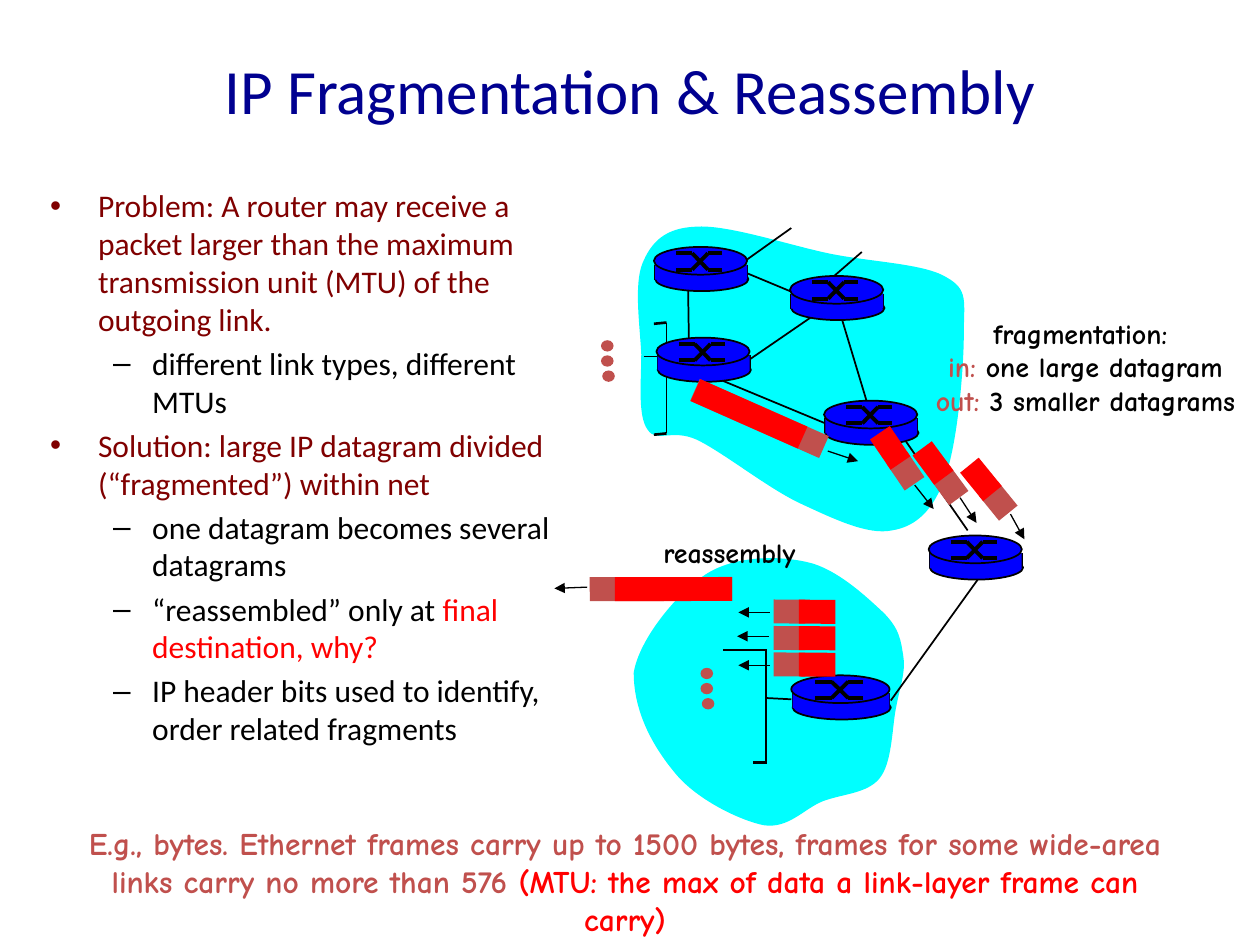
"""Build the IP fragmentation and reassembly slide."""
from dataclasses import dataclass
from math import cos, radians, sin
from typing import Union

from lxml.etree import SubElement
from pptx import Presentation
from pptx.dml.color import RGBColor
from pptx.enum.shapes import MSO_CONNECTOR, MSO_SHAPE
from pptx.enum.text import MSO_ANCHOR, MSO_AUTO_SIZE, PP_ALIGN
from pptx.oxml.ns import qn
from pptx.shapes.autoshape import Shape
from pptx.shapes.shapetree import GroupShapes, SlideShapes
from pptx.text.text import TextFrame
from pptx.util import Pt

PX = 9144
Shapes = Union[SlideShapes, GroupShapes]
Point = tuple[int, int]


@dataclass(frozen=True)
class Theme:
    """Colours, fonts and sizes of the slide."""
    black: str = "000000"
    navy: str = "000090"
    maroon: str = "800000"
    red: str = "FF0000"
    brick: str = "C0504D"
    blue: str = "0000FF"
    cyan: str = "00FFFF"
    sans: str = "Calibri"
    comic: str = "Comic Neue"
    title: float = 36
    body: float = 18
    label: float = 16
    thin: float = 0.75
    link: float = 1
    bracket: float = 1.5
    symbol: float = 2.25


THEME = Theme()


@dataclass(frozen=True)
class Span:
    text: str
    color: str = THEME.black


@dataclass(frozen=True)
class Bullet:
    level: int
    spans: list[Span]


@dataclass(frozen=True)
class Line:
    x1: float
    y1: float
    x2: float
    y2: float
    weight: float = THEME.link
    arrow: bool = False


@dataclass(frozen=True)
class Router:
    left: int
    top: int
    width: int = 74


@dataclass(frozen=True)
class Packet:
    """A payload with the header whose centre lies `gap` px further along the angle."""
    left: int
    top: int
    angle: float
    payload: int = 29
    header: int = 25
    gap: int = 22


BULLETS = [
    Bullet(0, [Span("Problem: A router may receive a packet larger than the maximum "
                    "transmission unit (MTU) of the outgoing link.", THEME.maroon)]),
    Bullet(1, [Span("different link types, different MTUs")]),
    Bullet(0, [Span("Solution: large IP datagram divided (“fragmented”) within net", THEME.maroon)]),
    Bullet(1, [Span("one datagram becomes several datagrams")]),
    Bullet(1, [Span("“reassembled” only at "), Span("final destination, why?", THEME.red)]),
    Bullet(1, [Span("IP header bits used to identify, order related fragments")]),
]
BULLET_STYLES = [("•", 38, -38), ("–", 81, -31)]

SENDER_CLOUD = [
    (552, 180), (528, 181), (517, 192), (510, 209), (503, 226), (508, 259), (509, 281),
    (509, 303), (506, 330), (514, 341), (521, 352), (533, 340), (553, 349),
    (574, 359), (610, 388), (636, 400), (662, 412), (689, 425), (708, 421),
    (727, 418), (741, 405), (750, 379), (760, 353), (765, 292), (765, 266),
    (765, 239), (769, 230), (751, 220), (733, 209), (690, 208), (657, 201),
    (624, 194), (577, 178), (552, 180)]
RECEIVER_CLOUD = [
    (503, 534), (507, 508), (537, 471), (560, 456), (583, 441), (617, 441), (640, 446),
    (664, 451), (688, 474), (701, 486), (714, 499), (715, 508), (717, 521),
    (719, 534), (714, 546), (711, 563), (708, 579), (708, 606), (698, 618),
    (688, 630), (669, 630), (653, 636), (638, 642), (626, 658), (606, 655),
    (587, 651), (554, 635), (537, 615), (520, 595), (503, 567), (503, 534)]

SENDER_LAN = [Line(519, 257, 529, 256, THEME.bracket), Line(519, 345, 529, 344, THEME.bracket),
              Line(529, 256, 529, 344)]
LINKS = [Line(511, 283, 525, 283), Line(574, 209, 646, 239), Line(666, 246, 688, 319),
         Line(546, 221, 547, 285), Line(549, 292, 655, 336), Line(768, 421, 716, 346),
         Line(658, 242, 575, 299), Line(628, 181, 576, 218), Line(684, 200, 654, 226)]
ROUTERS = [Router(519, 196), Router(521, 268), Router(627, 219), Router(654, 318),
           Router(628, 536, 78), Router(737, 425)]
RECEIVER_LAN = [Line(574, 516, 609, 516, THEME.bracket), Line(598, 605, 609, 605, THEME.bracket),
                Line(608, 516, 608, 605), Line(608, 554, 628, 555), Line(776, 460, 707, 556)]
PACKETS = [Packet(548, 319, 23.9, 93, 112, 9), Packet(692, 346, 55.8), Packet(726, 358, 53.6),
           Packet(764, 371, 50.9), *(Packet(634, top, 180.4) for top in (476, 497, 518)),
           Packet(488, 458, 179.9, 93, 113, 10)]
ARROWS = [Line(*ends, THEME.thin, True) for ends in (
    (657, 358, 681, 366), (726, 385, 741, 404), (762, 395, 775, 415), (802, 408, 813, 428),
    (611, 486, 586, 486), (610, 505, 585, 505), (611, 528, 586, 528), (466, 466, 440, 467))]


def px(length: float) -> int:
    """Turn px into EMU."""
    return round(length * PX)


def rgb(color: str) -> RGBColor:
    """Read a colour."""
    return RGBColor.from_string(color)


def draw_line(shapes: Shapes, line: Line) -> None:
    """Draw a straight black line, with an arrowhead if asked."""
    connector = shapes.add_connector(MSO_CONNECTOR.STRAIGHT, px(line.x1), px(line.y1),
                                     px(line.x2), px(line.y2))
    connector.line.color.rgb = rgb(THEME.black)
    connector.line.width = Pt(line.weight)
    properties = connector._element.spPr
    if line.arrow:
        SubElement(properties.find(qn("a:ln")), qn("a:tailEnd"), type="triangle")
    SubElement(properties, qn("a:effectLst"))


def paint(shape: Shape, color: str, outlined: bool = False) -> None:
    """Fill a shape flat, with a thin black outline if asked."""
    shape.shadow.inherit = False
    shape.fill.solid()
    shape.fill.fore_color.rgb = rgb(color)
    if outlined:
        shape.line.color.rgb = rgb(THEME.black)
        shape.line.width = Pt(THEME.link)
    else:
        shape.line.fill.background()


def draw_preset(shapes: Shapes, kind: MSO_SHAPE, box: tuple[float, float, float, float],
                color: str, outlined: bool = False, angle: float = 0) -> None:
    """Draw a filled preset shape."""
    shape = shapes.add_shape(kind, *map(px, box))
    shape.rotation = angle
    paint(shape, color, outlined)


def draw_cloud(shapes: Shapes, points: list[Point]) -> None:
    """Draw a closed outline of cubic curves, three points to a curve."""
    builder = shapes.build_freeform(*points[0], scale=PX)
    builder.add_line_segments(points[1:], close=True)
    cloud = builder.convert_to_shape()
    paint(cloud, THEME.cyan)
    segments = list(cloud._element.iter(qn("a:lnTo")))
    for start in range(0, len(segments), 3):
        outline = segments[start].getparent()
        curve = SubElement(outline, qn("a:cubicBezTo"))
        segments[start].addprevious(curve)
        for segment in segments[start:start + 3]:
            curve.append(segment[0])
            outline.remove(segment)


def draw_dots(shapes: Shapes, left: int, top: int) -> None:
    """Draw three dots in a column."""
    for step, shift in enumerate((0, 0, 1)):
        draw_preset(shapes, MSO_SHAPE.OVAL, (left + shift, top + 12 * step, 10, 9), THEME.brick)


def draw_router(slide_shapes: SlideShapes, router: Router) -> None:
    """Draw a router drum with its crossing symbol."""
    shapes = slide_shapes.add_group_shape().shapes
    x, y, width = router.left, router.top, router.width
    draw_preset(shapes, MSO_SHAPE.OVAL, (x + 1, y + 16, width, 19), THEME.blue, True)
    for side in (x + 1, x + width):
        draw_line(shapes, Line(side, y + 14, side, y + 26))
    draw_preset(shapes, MSO_SHAPE.RECTANGLE, (x + 1, y + 14, width - 1, 12), THEME.blue)
    draw_preset(shapes, MSO_SHAPE.OVAL, (x, y, width, 22), THEME.blue, True)
    a, b, c, d = (x + width * part for part in (0.24, 0.41, 0.58, 0.73))
    for start, end in ((5, 18), (18, 5)):
        for x1, y1, x2, y2 in ((a, start, b, start), (b, start, c, end), (c, end, d, end)):
            draw_line(shapes, Line(x1, y + y1, x2, y + y2, THEME.symbol))


def draw_packet(slide_shapes: SlideShapes, packet: Packet) -> None:
    """Draw a header and the payload over it, both turned to the packet's angle."""
    shapes = slide_shapes.add_group_shape().shapes
    turn = radians(packet.angle)
    header_left = packet.left + (packet.payload - packet.header) / 2 + packet.gap * cos(turn)
    header_top = packet.top + packet.gap * sin(turn)
    for box, color in (((header_left, header_top, packet.header, 19), THEME.brick),
                       ((packet.left, packet.top, packet.payload, 19), THEME.red)):
        draw_preset(shapes, MSO_SHAPE.RECTANGLE, box, color, angle=packet.angle)


def write(frame: TextFrame, index: int, spans: list[Span], font: str, size: float,
          bold: bool = False, bullet: int = -1) -> None:
    """Write one paragraph, centred unless it has a bullet level."""
    paragraph = frame.paragraphs[0] if index == 0 else frame.add_paragraph()
    if bullet < 0:
        paragraph.alignment = PP_ALIGN.CENTER
    else:
        paragraph.level = bullet
        mark, margin, indent = BULLET_STYLES[bullet]
        if index:
            paragraph.space_before = Pt(3.6)
        properties = paragraph._p.get_or_add_pPr()
        properties.set("marL", str(px(margin)))
        properties.set("indent", str(px(indent)))
        SubElement(properties, qn("a:buFont"), typeface="Arial")
        SubElement(properties, qn("a:buChar"), char=mark)
    paragraph.font.name, paragraph.font.size, paragraph.font.bold = font, Pt(size), bold
    if len(spans) == 1:
        paragraph.font.color.rgb = rgb(spans[0].color)
    for span in spans:
        run = paragraph.add_run()
        run.text = span.text
        if len(spans) > 1:
            run.font.color.rgb = rgb(span.color)


def add_text(shapes: SlideShapes, box: tuple[int, int, int, int], wrap: bool = True) -> TextFrame:
    """Add a text box, fitted to its text when it does not wrap."""
    frame = shapes.add_textbox(*map(px, box)).text_frame
    frame.word_wrap = wrap
    frame.auto_size = MSO_AUTO_SIZE.NONE if wrap else MSO_AUTO_SIZE.SHAPE_TO_FIT_TEXT
    return frame


def main() -> None:
    """Build and save the slide."""
    deck = Presentation()
    deck.slide_width, deck.slide_height = px(1000), px(750)
    shapes = deck.slides.add_slide(deck.slide_layouts[6]).shapes

    title = add_text(shapes, (50, 8, 900, 125))
    title.vertical_anchor = MSO_ANCHOR.MIDDLE
    write(title, 0, [Span("IP Fragmentation & Reassembly", THEME.navy)], THEME.sans, THEME.title)
    body = add_text(shapes, (30, 143, 417, 508))
    for index, item in enumerate(BULLETS):
        write(body, index, item.spans, THEME.sans, THEME.body, bullet=item.level)

    for cloud in (SENDER_CLOUD, RECEIVER_CLOUD):
        draw_cloud(shapes, cloud)
    draw_dots(shapes.add_group_shape().shapes, 477, 270)
    for line in SENDER_LAN + LINKS:
        draw_line(shapes, line)
    for router in ROUTERS:
        draw_router(shapes, router)
    draw_dots(shapes.add_group_shape().shapes, 556, 530)
    for line in RECEIVER_LAN:
        draw_line(shapes, line)
    for packet in PACKETS:
        draw_packet(shapes, packet)
    for arrow in ARROWS:
        draw_line(shapes, arrow)

    fragmentation = add_text(shapes, (723, 246, 277, 90), wrap=False)
    for index, spans in enumerate((
            [Span("fragmentation: ")],
            [Span("in:", THEME.brick), Span(" one large datagram")],
            [Span("out:", THEME.brick), Span(" 3 smaller datagrams")])):
        write(fragmentation, index, spans, THEME.comic, THEME.label, True)
    reassembly = add_text(shapes, (511, 420, 136, 37), wrap=False)
    write(reassembly, 0, [Span("reassembly")], THEME.comic, THEME.label, True)
    example = add_text(shapes, (55, 649, 882, 101))
    write(example, 0, [
        Span("E.g., bytes. Ethernet frames carry up to 1500 bytes, frames for some wide-area "
             "links carry no more than 576 ", THEME.brick),
        Span("(MTU: the max of data a link-layer frame can carry)", THEME.red),
    ], THEME.comic, THEME.body, True)
    deck.save("out.pptx")


if __name__ == "__main__":
    main()
